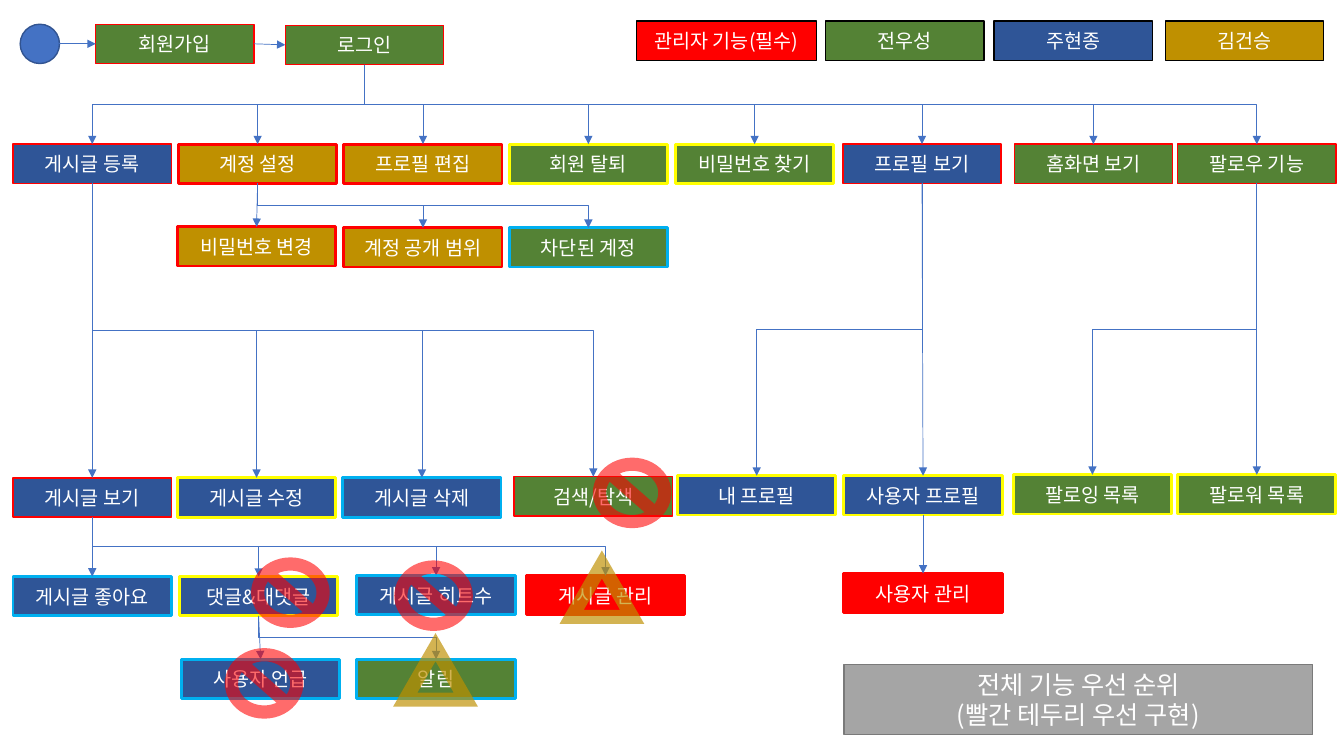
from lxml import etree
from pptx import Presentation
from pptx.dml.color import RGBColor
from pptx.enum import shapes, text
from pptx.oxml.ns import qn
from pptx.util import Inches, Pt

FONT = "Noto Sans CJK KR"
COLORS = {
    "green": "548235", "navy": "2F5597", "gold": "BF9000", "red": "FF0000",
    "yellow": "FFFF00", "sky": "00B0F0", "black": "000000", "white": "FFFFFF",
    "blue": "4472C4", "dark blue": "325491", "gray": "A5A5A5", "dark gray": "7A7A7A",
}
BOX_WIDTH, BOX_HEIGHT = 1.57, 0.39
START = (0.2, 0.24, 0.39, 0.39)

# text, left, top, fill, border, border width
FEATURES = [
    ("회원가입", 0.95, 0.24, "green", "red", 1),
    ("로그인", 2.83, 0.25, "green", "red", 1),
    ("게시글 등록", 0.13, 1.43, "navy", "red", 1),
    ("계정 설정", 1.77, 1.43, "gold", "red", 2),
    ("프로필 편집", 3.41, 1.43, "gold", "red", 2),
    ("회원 탈퇴", 5.05, 1.43, "green", "yellow", 2),
    ("비밀번호 찾기", 6.7, 1.43, "green", "yellow", 2),
    ("프로필 보기", 8.36, 1.43, "navy", "red", 1),
    ("홈화면 보기", 10.06, 1.43, "green", "red", 1),
    ("팔로우 기능", 11.68, 1.43, "green", "red", 1),
    ("비밀번호 변경", 1.76, 2.25, "gold", "red", 2),
    ("계정 공개 범위", 3.41, 2.26, "gold", "red", 2),
    ("차단된 계정", 5.05, 2.26, "green", "sky", 2),
    ("게시글 보기", 0.13, 4.74, "navy", "red", 1),
    ("게시글 수정", 1.76, 4.74, "navy", "yellow", 2),
    ("게시글 삭제", 3.4, 4.74, "navy", "sky", 2),
    ("검색/탐색", 5.1, 4.73, "green", "red", 1),
    ("내 프로필", 6.72, 4.72, "navy", "yellow", 2),
    ("사용자 프로필", 8.37, 4.72, "navy", "yellow", 2),
    ("팔로잉 목록", 10.05, 4.71, "green", "yellow", 2),
    ("팔로워 목록", 11.68, 4.71, "green", "yellow", 2),
    ("게시글 좋아요", 0.13, 5.72, "navy", "sky", 2),
    ("댓글&대댓글", 1.78, 5.72, "navy", "yellow", 2),
    ("게시글 히트수", 3.54, 5.71, "navy", "sky", 2),
    ("게시글 관리", 5.22, 5.71, "red", "red", 2),
    ("사용자 관리", 8.37, 5.69, "red", "red", 2),
    ("사용자 언급", 1.8, 6.54, "navy", "sky", 2),
    ("알림", 3.54, 6.54, "green", "sky", 2),
]
# text, left, width, fill
LEGEND = [
    ("관리자 기능(필수)", 6.31, 1.79, "red"),
    ("전우성", 8.19, BOX_WIDTH, "green"),
    ("주현종", 9.86, BOX_WIDTH, "navy"),
    ("김건승", 11.56, BOX_WIDTH, "gold"),
]
LEGEND_TOP = 0.21
PRIORITY = ["전체 기능 우선 순위", "(빨간 테두리 우선 구현)"]
CHILDREN = {
    "로그인": ["게시글 등록", "계정 설정", "프로필 편집", "회원 탈퇴", "비밀번호 찾기",
            "프로필 보기", "홈화면 보기", "팔로우 기능"],
    "계정 설정": ["비밀번호 변경", "계정 공개 범위", "차단된 계정"],
    "게시글 등록": ["게시글 보기", "게시글 수정", "게시글 삭제", "검색/탐색"],
    "프로필 보기": ["내 프로필", "사용자 프로필"],
    "팔로우 기능": ["팔로잉 목록", "팔로워 목록"],
    "게시글 보기": ["게시글 좋아요", "댓글&대댓글", "게시글 히트수", "게시글 관리"],
    "사용자 프로필": ["사용자 관리"],
    "댓글&대댓글": ["사용자 언급", "알림"],
}
BANS = [(5.88, 4.54), (3.91, 5.56), (2.23, 6.43), (2.49, 5.53)]
WARNINGS = [(4.02, 6.42), (5.67, 5.6)]
TOP, LEFT, BOTTOM, RIGHT = range(4)
STRAIGHT, ELBOW = shapes.MSO_CONNECTOR.STRAIGHT, shapes.MSO_CONNECTOR.ELBOW


def rgb(name):
    return RGBColor.from_string(COLORS[name])


def add_shape(slide, kind, place, fill=None, border=None, weight=1):
    shape = slide.shapes.add_shape(kind, *map(Inches, place))
    shape.shadow.inherit = False
    for part, color in ((shape.fill, fill), (shape.line.fill, border)):
        if color:
            part.solid()
            part.fore_color.rgb = rgb(color)
        else:
            part.background()
    if border:
        shape.line.width = Pt(weight)
    return shape


def add_box(slide, lines, place, fill, border, weight=1, size=14):
    box = add_shape(slide, shapes.MSO_SHAPE.RECTANGLE, place, fill, border, weight)
    frame = box.text_frame
    frame.word_wrap = True
    frame.vertical_anchor = text.MSO_ANCHOR.MIDDLE
    frame.text = "\n".join(lines)
    for paragraph in frame.paragraphs:
        paragraph.alignment = text.PP_ALIGN.CENTER
        font = paragraph.font
        font.name, font.size = FONT, Pt(size)
        font.color.rgb = rgb("white")
        properties = paragraph._p.pPr.find(qn("a:defRPr"))
        etree.SubElement(properties, qn("a:ea"), typeface=FONT)
    return box


def add_arrow(slide, kind, begin, target, side):
    """Arrow from the point begin to the middle of a side of the target."""
    arrow = slide.shapes.add_connector(kind, *begin, *begin)
    arrow.end_connect(target, side)
    arrow.line.color.rgb = rgb("blue")
    arrow.line.width = Pt(0.5)
    etree.SubElement(arrow.line._get_or_add_ln(), qn("a:tailEnd"), type="triangle")
    etree.SubElement(arrow._element.spPr, qn("a:effectLst"))
    return arrow


def right_middle(shape):
    return shape.left + shape.width, shape.top + shape.height // 2


def add_branch(slide, parent, child):
    """Arrow from the parent's bottom to the child's top, bent halfway down."""
    begin_x, begin_y = parent.left + parent.width // 2, parent.top + parent.height
    across = child.left + child.width // 2 - begin_x
    straight = abs(across) < Inches(0.05)
    kind = STRAIGHT if straight else ELBOW
    arrow = add_arrow(slide, kind, (begin_x, begin_y), child, TOP)
    arrow.begin_connect(parent, BOTTOM)
    if straight:
        return
    # An elbow starts sideways, so its frame is turned by a quarter
    down, span = child.top - begin_y, abs(across)
    arrow.left = begin_x + (across - down) // 2
    arrow.top = begin_y + (down - span) // 2
    arrow.width, arrow.height = down, span
    frame = arrow._element.spPr.find(qn("a:xfrm"))
    frame.set("rot", str((270 if across > 0 else 90) * 60000))
    frame.set("flipH", "1" if across > 0 else "0")
    frame.set("flipV", "0")


def set_opacity(part, percent):
    color = part._xPr.find(qn("a:solidFill"))[0]
    etree.SubElement(color, qn("a:alpha"), val=str(percent * 1000))


def main():
    presentation = Presentation()
    presentation.slide_width, presentation.slide_height = Inches(13.33), Inches(7.5)
    slide = presentation.slides.add_slide(presentation.slide_layouts[6])

    start = add_shape(slide, shapes.MSO_SHAPE.OVAL, START, "blue", "dark blue")
    boxes = {
        name: add_box(slide, [name], (left, top, BOX_WIDTH, BOX_HEIGHT), fill, border, weight)
        for name, left, top, fill, border, weight in FEATURES
    }
    for name, left, width, fill in LEGEND:
        add_box(slide, [name], (left, LEGEND_TOP, width, BOX_HEIGHT), fill, "black")
    add_box(slide, PRIORITY, (8.37, 6.59, 4.65, 0.7), "gray", "dark gray", size=18)

    sign_up, log_in = boxes["회원가입"], boxes["로그인"]
    add_arrow(slide, STRAIGHT, right_middle(start), sign_up, LEFT)
    to_log_in = add_arrow(slide, STRAIGHT, right_middle(sign_up), log_in, LEFT)
    to_log_in.begin_connect(sign_up, RIGHT)
    for parent, children in CHILDREN.items():
        for child in children:
            add_branch(slide, boxes[parent], boxes[child])

    for left, top in BANS:
        ban = add_shape(slide, shapes.MSO_SHAPE.NO_SYMBOL, (left, top, 0.78, 0.7), "red")
        set_opacity(ban.fill, 58)
    for left, top in WARNINGS:
        warning = add_shape(slide, shapes.MSO_SHAPE.ISOSCELES_TRIANGLE,
                            (left, top, 0.6, 0.52), None, "gold", 10)
        set_opacity(warning.line.fill, 68)
        etree.SubElement(warning.line._get_or_add_ln(), qn("a:miter"), lim="800000")
    presentation.save("out.pptx")


if __name__ == "__main__":
    main()
